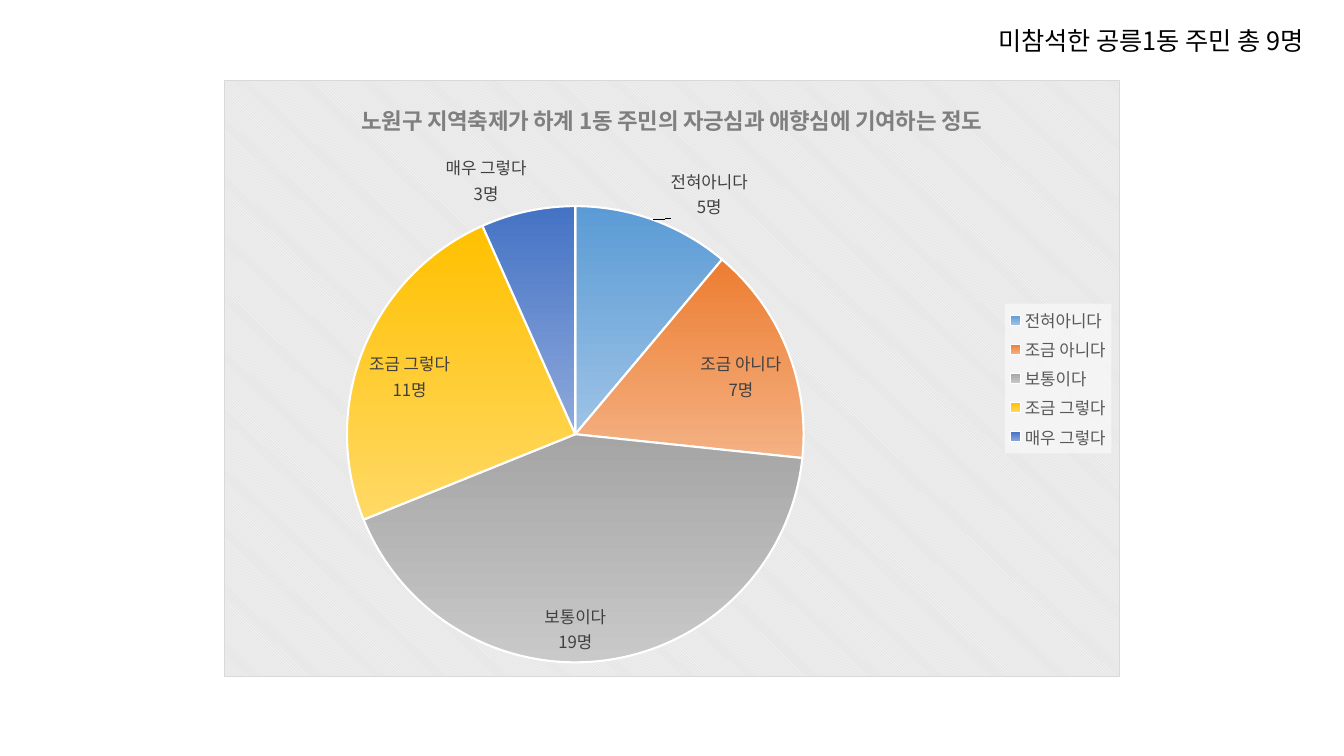
from pptx import Presentation
from pptx.chart.data import CategoryChartData
from pptx.dml.color import RGBColor
from pptx.enum.chart import XL_CHART_TYPE, XL_LABEL_POSITION, XL_LEGEND_POSITION
from pptx.enum.text import MSO_AUTO_SIZE
from pptx.oxml import parse_xml
from pptx.oxml.ns import nsdecls
from pptx.util import Inches, Pt

# Content
NOTE = "미참석한 공릉1동 주민 총 9명"
TITLE = "노원구 지역축제가 하계 1동 주민의 자긍심과 애향심에 기여하는 정도"
OUT, IN = XL_LABEL_POSITION.OUTSIDE_END, XL_LABEL_POSITION.INSIDE_END
# answer, people, gradient top, gradient bottom, label position
ANSWERS = [
    ("전혀아니다", 5, "5B9BD5", "9DC3E6", OUT),
    ("조금 아니다", 7, "ED7D31", "F4B183", IN),
    ("보통이다", 19, "A5A5A5", "C9C9C9", IN),
    ("조금 그렇다", 11, "FFC000", "FFD966", IN),
    ("매우 그렇다", 3, "4472C4", "8FAADC", OUT),
]
NOTE_BOX = (9.8, 0.2, 3.61, 0.4)
CHART_BOX = (2.22, 0.79, 8.89, 5.93)
PIE_AREA = {"x": 0.137, "y": 0.211, "w": 0.51, "h": 0.765}
FIRST_LABEL_SHIFT = {"x": 0.017, "y": 0.007}

THEME = {
    "font": "Noto Sans CJK KR",
    "white": "FFFFFF", "stripe": "E6E6E6", "border": "D9D9D9",
    "note": {"size": 18, "color": "000000"},
    "title": {"size": 16, "color": "7F7F7F", "bold": True},
    "legend": {"size": 12, "color": "595959"},
    "label": {"size": 12, "color": "404040"},
}


def rgb(value):
    return RGBColor.from_string(value)


def style_font(font, role):
    font.color.rgb = rgb(THEME[role]["color"])
    formats = {"name": THEME["font"], "size": Pt(THEME[role]["size"]),
               "bold": THEME[role].get("bold", False)}
    for name, value in formats.items():
        setattr(font, name, value)


def chart_xml(tag, body="", attrs=""):
    return parse_xml(f'<c:{tag} {nsdecls("c", "a")} {attrs}>{body}</c:{tag}>')


def layout_xml(places, inner=False):
    head = '<c:layoutTarget val="inner"/>' if inner else ""
    if inner:
        head += '<c:xMode val="edge"/><c:yMode val="edge"/>'
    parts = "".join(f'<c:{k} val="{v}"/>' for k, v in places.items())
    return chart_xml("layout", f"<c:manualLayout>{head}{parts}</c:manualLayout>")


def color_xml(value, alpha=100):
    return f'<a:srgbClr val="{value}"><a:alpha val="{alpha * 1000}"/></a:srgbClr>'


prs = Presentation()
prs.slide_width, prs.slide_height = Inches(13.33), Inches(7.5)
s = prs.slides.add_slide(prs.slide_layouts[6])

# Pie chart
data = CategoryChartData()
data.categories = [answer[0] for answer in ANSWERS]
data.add_series("Series 1", [answer[1] for answer in ANSWERS])
chart = s.shapes.add_chart(XL_CHART_TYPE.PIE, *map(Inches, CHART_BOX), data).chart
chart.font.name, chart.font.size = THEME["font"], Pt(10)
plot = chart.plots[0]
plot.vary_by_categories = True

# Title and legend
chart.has_title = True
tf = chart.chart_title.text_frame
tf.text = TITLE
style_font(tf.paragraphs[0].runs[0].font, "title")
chart.has_legend = True
legend = chart.legend
legend.position, legend.include_in_layout = XL_LEGEND_POSITION.RIGHT, False
style_font(legend.font, "legend")
legend_fill = f'<a:solidFill>{color_xml(THEME["white"], 50)}</a:solidFill>'
legend.font  # text properties follow the fill
legend_text = chart.element.xpath(".//c:legend/c:txPr")[0]
legend_text.addprevious(chart_xml("spPr", legend_fill))

# Striped background and fixed pie position
background = (
    f'<a:pattFill prst="dkDnDiag"><a:fgClr>{color_xml(THEME["white"])}</a:fgClr>'
    f'<a:bgClr>{color_xml(THEME["stripe"])}</a:bgClr></a:pattFill>'
    f'<a:ln w="{Pt(0.75)}"><a:solidFill>{color_xml(THEME["border"])}</a:solidFill></a:ln>')
chart.element.xpath("c:chart")[0].addnext(chart_xml("spPr", background))
plot_area = chart.element.xpath(".//c:plotArea")[0]
for old in plot_area.xpath("c:layout"):
    plot_area.remove(old)
plot_area.insert(0, layout_xml(PIE_AREA, inner=True))

# Slices and their labels
series = plot.series[0]
for i, (_, _, top, bottom, position) in enumerate(ANSWERS):
    point = series.points[i]
    fill = point.format.fill
    fill.gradient()
    fill.gradient_angle = 270
    for stop, color in zip(fill.gradient_stops, (top, bottom)):
        stop.color.rgb = rgb(color)
    line = point.format.line
    line.color.rgb, line.width = rgb(THEME["white"]), Pt(1.5)
    style_font(point.data_label.font, "label")
    point.data_label.position = position

for dlbl in chart.element.xpath(".//c:dLbl"):
    (dlbl.xpath("c:spPr") + dlbl.xpath("c:txPr"))[0].addprevious(
        chart_xml("numFmt", attrs='formatCode="0&quot;명&quot;" sourceLinked="0"'))
    for flag in ("showVal", "showCatName"):
        dlbl.xpath(f"c:{flag}")[0].set("val", "1")
    dlbl.append(chart_xml("separator", "\n"))
first_label = chart.element.xpath(".//c:dLbl[c:idx/@val='0']")[0]
first_label.xpath("c:idx")[0].addnext(layout_xml(FIRST_LABEL_SHIFT))

# Note at the top right
tf = s.shapes.add_textbox(*map(Inches, NOTE_BOX)).text_frame
tf.word_wrap, tf.auto_size = False, MSO_AUTO_SIZE.SHAPE_TO_FIT_TEXT
r = tf.paragraphs[0].add_run()
r.text = NOTE
style_font(r.font, "note")

prs.save("out.pptx")
